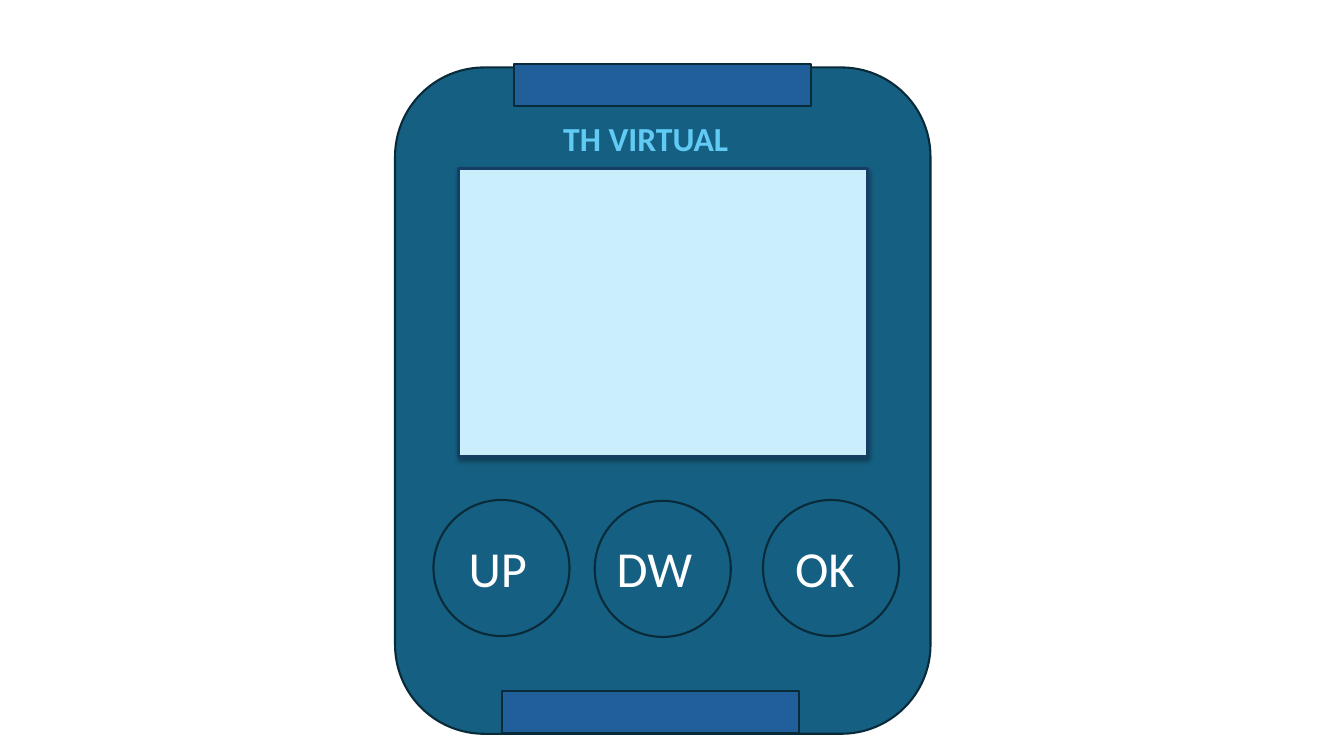
from lxml.etree import SubElement
from pptx import Presentation
from pptx.dml.color import RGBColor
from pptx.enum.shapes import MSO_SHAPE as Preset
from pptx.enum.text import MSO_AUTO_SIZE as AutoSize
from pptx.oxml.ns import qn
from pptx.util import Pt

COLORS = {
    "body": "156082",
    "outline": "092A39",
    "strap": "215F9A",
    "screen": "CAEEFB",
    "frame": "163E64",
    "brand": "61CBF4",
    "label": "FFFFFF",
    "shadow": "000000",
}
BUTTON_SIZE = 97.2
BUTTONS = [
    ("UP", 27.4, 0, 18, 67.7),
    ("DW", 142.6, 0.7, 8.6, 79.9),
    ("OK", 262.8, 0, 15.8, 67.7),
]


def color(name):
    return RGBColor.from_string(COLORS[name])


def add_panel(slide, preset, box, fill, line="outline", width=1.5):
    shape = slide.shapes.add_shape(preset, *map(Pt, box))
    shape.shadow.inherit = False
    shape.fill.solid()
    shape.fill.fore_color.rgb = color(fill)
    shape.line.color.rgb = color(line)
    shape.line.width = Pt(width)
    return shape


def add_text(slide, text, box, size=36, fill="label", bold=False):
    shape = slide.shapes.add_textbox(*map(Pt, box))
    frame = shape.text_frame
    frame.word_wrap = True
    frame.auto_size = AutoSize.SHAPE_TO_FIT_TEXT
    run = frame.paragraphs[0].add_run()
    run.text = text
    run.font.name = "Calibri"
    run.font.size = Pt(size)
    run.font.bold = bold
    run.font.color.rgb = color(fill)
    return shape


def add_drop_shadow(shape):
    effects = shape.element.spPr.find(qn("a:effectLst"))
    shadow = SubElement(effects, qn("a:outerShdw"), blurRad=str(Pt(3.5)),
                        dist=str(Pt(2.2)), dir="5400000", algn="t", rotWithShape="0")
    tint = SubElement(shadow, qn("a:srgbClr"), val=COLORS["shadow"])
    SubElement(tint, qn("a:alpha"), val="32000")


def draw_screen(slide, box):
    screen = add_panel(slide, Preset.RECTANGLE, box, "screen", "frame", 2.25)
    add_drop_shadow(screen)


def draw_buttons(slide, left, top):
    for text, offset, drop, indent, width in BUTTONS:
        button_left = left + offset
        button_box = (button_left, top + drop, BUTTON_SIZE, BUTTON_SIZE)
        add_panel(slide, Preset.OVAL, button_box, "body")
        add_text(slide, text, (button_left + indent, top + 23, width, 51))


def draw_straps(slide, left, top):
    for offset, drop in [(76.3, 445.7), (85, -2.2)]:
        add_panel(slide, Preset.RECTANGLE, (left + offset, top + drop, 212.4, 29.7), "strap")


def draw_device(slide, box):
    left, top, width, height = box
    add_panel(slide, Preset.ROUNDED_RECTANGLE, box, "body")
    draw_screen(slide, (left + 45.4, top + 72, 292.3, 205.9))
    draw_buttons(slide, left, top + 308.9)
    draw_straps(slide, left, top)
    add_text(slide, "TH VIRTUAL", (left + 113, top + 32.4, 175.7, 36),
             size=24, fill="brand", bold=True)


def main():
    presentation = Presentation()
    presentation.slide_width = Pt(960)
    presentation.slide_height = Pt(540)
    slide = presentation.slides.add_slide(presentation.slide_layouts[6])
    draw_device(slide, (282.2, 48.2, 382.5, 476))
    presentation.save("out.pptx")


if __name__ == "__main__":
    main()
